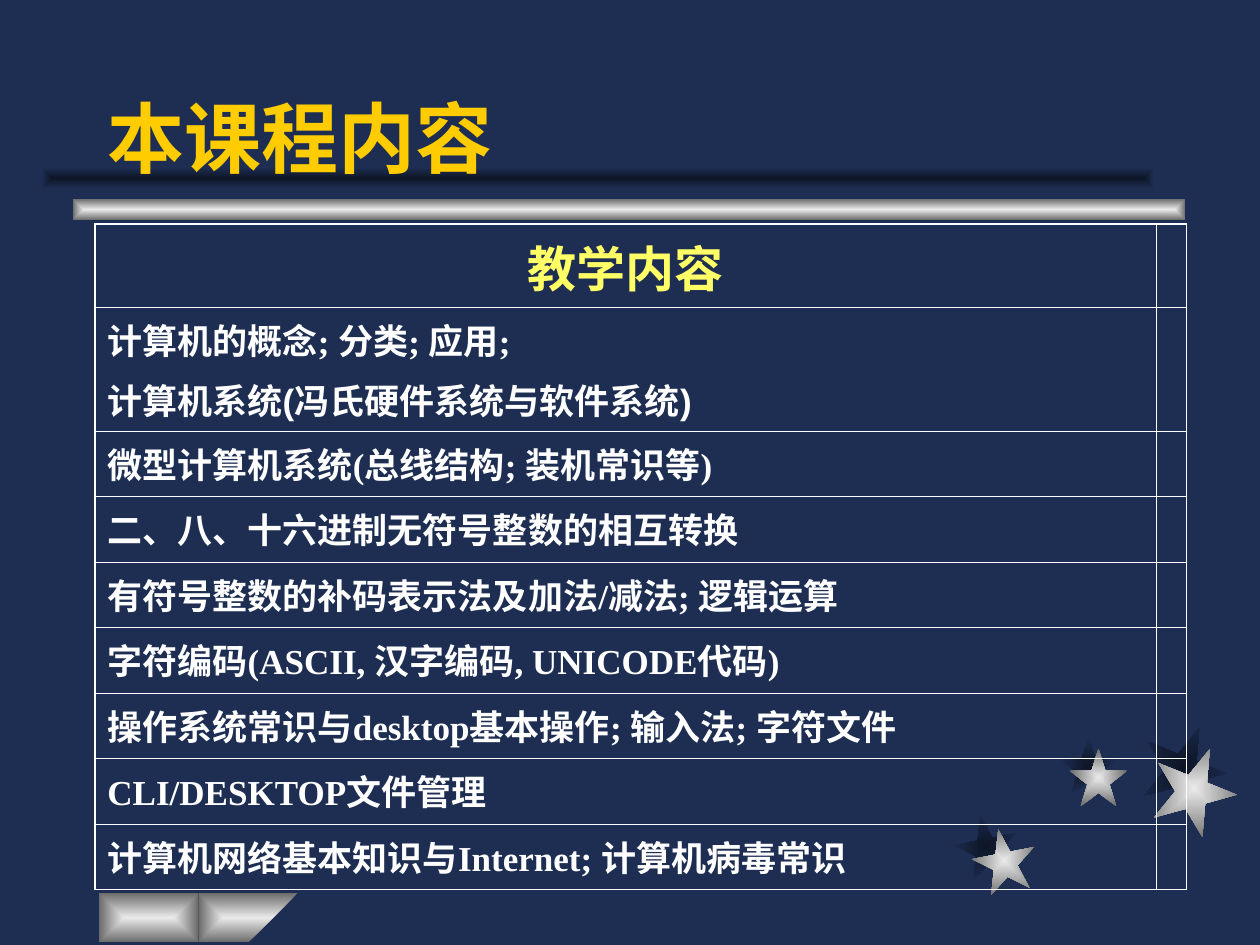
import math

import pptx
import pptx.dml.color
import pptx.enum.shapes
import pptx.enum.text
import pptx.oxml
import pptx.oxml.ns
import pptx.util
from pptx.util import Cm

COLORS = {
    "background": "1E2E53",
    "shadow": "0D1526",
    "silver": "EAEAEA",
    "steel": "6B6B6B",
    "title": "FFCC00",
    "heading": "FFFF66",
    "text": "FFFFFF",
}
METAL = ("silver", "steel")
SHADE = ("shadow", "background")
SHAPES = pptx.enum.shapes.MSO_SHAPE
ALIGN = pptx.enum.text.PP_ALIGN
NS = pptx.oxml.ns.nsdecls("a")


def rgb(name):
    return pptx.dml.color.RGBColor.from_string(COLORS[name])


class Deck:
    """Holds the style and the current slide."""

    def __init__(self):
        self.prs = pptx.Presentation()
        self.prs.slide_width, self.prs.slide_height = Cm(25.4), Cm(19.05)
        self.slide = self.prs.slides.add_slide(self.prs.slide_layouts[5])
        fill = self.slide.background.fill
        fill.solid()
        fill.fore_color.rgb = rgb("background")

    def glow(self, shape, tones):
        """Fill from the centre outwards with two tones."""
        shape.shadow.inherit = False
        shape.line.fill.background()
        shape.fill.gradient()
        for stop, tone, position in zip(shape.fill.gradient_stops, tones, (0, 1)):
            stop.color.rgb = rgb(tone)
            stop.position = position
        linear = shape.element.spPr.find(".//" + pptx.oxml.ns.qn("a:lin"))
        linear.getparent().replace(linear, pptx.oxml.parse_xml(
            f'<a:path {NS} path="rect">'
            '<a:fillToRect l="50000" t="50000" r="50000" b="50000"/></a:path>'))

    def ornament(self, kind, left, top, width, height, tones, rotation=0):
        shape = self.slide.shapes.add_shape(kind, Cm(left), Cm(top), Cm(width), Cm(height))
        shape.rotation = rotation
        self.glow(shape, tones)

    def button(self, flat_x, top, width, height, side):
        """Half pill; side is -1 when round on the left, 1 on the right."""
        radius = height / 2
        centre_x = flat_x + side * (width - radius)
        angles = [math.radians(a) for a in range(-90, 91, 15)]
        arc = [(centre_x + side * radius * math.cos(a), top + radius + radius * math.sin(a))
               for a in angles]
        builder = self.slide.shapes.build_freeform(flat_x, top, scale=Cm(1))
        builder.add_line_segments(arc + [(flat_x, top + height)], close=True)
        self.glow(builder.convert_to_shape(), METAL)

    def run(self, paragraph, text, size, font, color):
        run = paragraph.add_run()
        run.text = text
        run.font.size = pptx.util.Pt(size)
        run.font.name = font
        run.font.bold = True
        run.font.color.rgb = rgb(color)

    def title(self, text, left, top, width, height):
        title = self.slide.shapes.title
        title.left, title.top = Cm(left), Cm(top)
        title.width, title.height = Cm(width), Cm(height)
        frame = title.text_frame
        frame.auto_size = pptx.enum.text.MSO_AUTO_SIZE.NONE
        frame.vertical_anchor = pptx.enum.text.MSO_ANCHOR.BOTTOM
        frame.paragraphs[0].alignment = ALIGN.LEFT
        self.run(frame.paragraphs[0], text, 44, "Arial", "title")
        # The title stands in front of the bars
        title.element.getparent().append(title.element)

    def borders(self, cell, outer_sides):
        properties = cell._tc.get_or_add_tcPr()
        for side in "LRTB":
            width = pptx.util.Pt(1.08 if side in outer_sides else 0.45)
            properties.append(pptx.oxml.parse_xml(
                f'<a:ln{side} {NS} w="{width}"><a:solidFill>'
                f'<a:srgbClr val="{COLORS["text"]}"/></a:solidFill></a:ln{side}>'))

    def table(self, heading, topics, left, top, widths, heights):
        frame = self.slide.shapes.add_table(
            len(heights), len(widths), Cm(left), Cm(top), Cm(sum(widths)), Cm(sum(heights)))
        table = frame.table
        table.first_row = table.horz_banding = False
        for column, width in zip(table.columns, widths):
            column.width = Cm(width)
        for row, height in zip(table.rows, heights):
            row.height = Cm(height)

        last_row = len(heights) - 1
        for row_index, row in enumerate(table.rows):
            for column_index, cell in enumerate(row.cells):
                outer = "R" if column_index else "L"
                outer += {0: "T", last_row: "B"}.get(row_index, "")
                self.borders(cell, outer)
                cell.fill.background()

        heading_line = table.cell(0, 0).text_frame.paragraphs[0]
        heading_line.alignment = ALIGN.CENTER
        self.run(heading_line, heading, 28, "Arial", "heading")
        for row_index, lines in enumerate(topics, 1):
            topic = table.cell(row_index, 0).text_frame
            for line_index, (text, font) in enumerate(lines):
                paragraph = topic.add_paragraph() if line_index else topic.paragraphs[0]
                if line_index:
                    paragraph.space_before = pptx.util.Pt(5)
                self.run(paragraph, text, 20, font, "text")


def main():
    deck = Deck()

    # Stars: shadows first, then the metal ones
    star_sets = [
        (SHADE, [(19.25, 16.43), (21.36, 14.86), (23.01, 14.61)]),
        (METAL, [(19.61, 16.71), (21.56, 15.09), (23.22, 15.04)]),
    ]
    for tones, corners in star_sets:
        for (left, top), size, turn in zip(corners, (1.27, 1.17, 1.7), (349, 0, 22)):
            deck.ornament(SHAPES.STAR_5_POINT, left, top, size, size, tones, turn)

    # Bar under the title and its shadow
    deck.ornament(SHAPES.RECTANGLE, 1.47, 4.01, 22.43, 0.43, METAL)
    deck.ornament(SHAPES.RECTANGLE, 0.84, 3.38, 22.43, 0.43, SHADE)

    # Navigation buttons
    deck.button(3.71, 17.83, 1.55, 0.97, -1)
    deck.button(4.01, 17.83, 1.55, 0.97, 1)

    # Title and course contents
    deck.title("本课程内容", 1.91, 0.64, 21.59, 3.18)
    serif = "Times New Roman"
    topics = [[("计算机的概念; 分类; 应用;", serif),
               ("计算机系统(冯氏硬件系统与软件系统)", "Arial")]]
    topics += [[(text, serif)] for text in (
        "微型计算机系统(总线结构; 装机常识等)",
        "二、八、十六进制无符号整数的相互转换",
        "有符号整数的补码表示法及加法/减法; 逻辑运算",
        "字符编码(ASCII, 汉字编码, UNICODE代码)",
        "操作系统常识与desktop基本操作; 输入法; 字符文件",
        "CLI/DESKTOP文件管理",
        "计算机网络基本知识与Internet; 计算机病毒常识",
    )]
    deck.table("教学内容", topics, 1.91, 4.52, (21.4, 0.6), [1.68, 2.49] + [1.32] * 7)

    deck.prs.save("out.pptx")


if __name__ == "__main__":
    main()
